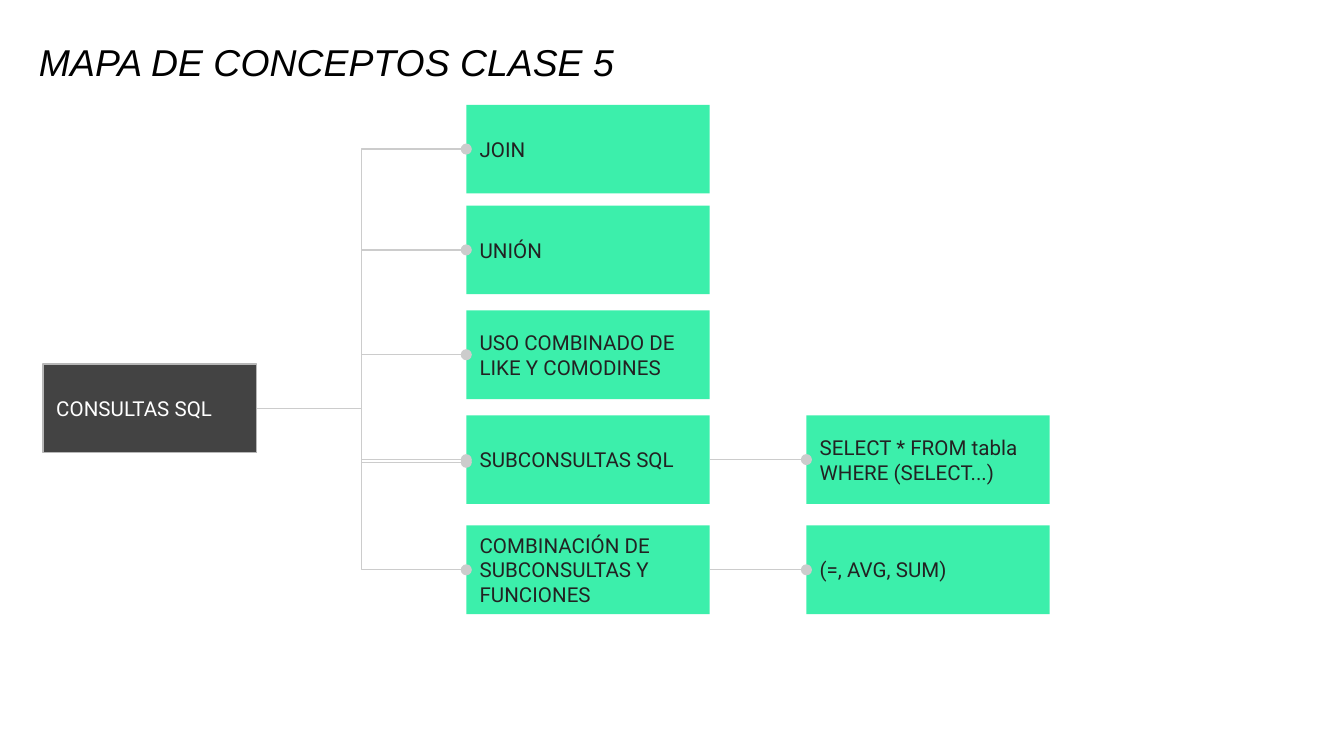
from lxml import etree
from pptx import Presentation
from pptx import util as u
from pptx.dml.color import RGBColor
from pptx.enum import shapes, text
from pptx.oxml.ns import qn

PX = 9144  # 100 px to the inch
COLORS = {
    "title": "000000", "root": "434343", "root_line": "B7B7B7",
    "root_text": "FFFFFF", "concept": "3CEFAB", "concept_text": "222222",
    "link": "CCCCCC",
}
BOX_WIDTH, BOX_HEIGHT = 181, 66
CONCEPTS = [  # top, concept, example
    (78, "JOIN", None),
    (153, "UNIÓN", None),
    (231, "USO COMBINADO DE LIKE Y COMODINES", None),
    (309, "SUBCONSULTAS SQL", "SELECT * FROM tabla WHERE (SELECT...)"),
    (391, "COMBINACIÓN DE SUBCONSULTAS Y FUNCIONES", "(=, AVG, SUM)"),
]


def px(value):
    return u.Emu(round(value * PX))


def color(name):
    return RGBColor.from_string(COLORS[name])


def set_text(shape, words, font, frame):
    """Write one left-aligned paragraph with the given formats."""
    for name, value in frame.items():
        setattr(shape.text_frame, name, value)
    para = shape.text_frame.paragraphs[0]
    para.alignment = text.PP_ALIGN.LEFT
    span = para.add_run()
    span.text = words
    span.font.color.rgb = color(font["color"])
    for name in font.keys() - {"color"}:
        setattr(span.font, name, font[name])
    return para


def add_title(page, left, top, width, height):
    title = page.shapes.title
    title.left, title.top, title.width, title.height = map(px, (left, top, width, height))
    para = set_text(
        title, "MAPA DE CONCEPTOS CLASE 5",
        {"name": "Arial", "size": u.Pt(20), "italic": True, "color": "title"},
        {"vertical_anchor": text.MSO_ANCHOR.BOTTOM, "word_wrap": True,
         "auto_size": text.MSO_AUTO_SIZE.NONE, "margin_left": px(10),
         "margin_right": px(10), "margin_top": px(5), "margin_bottom": px(5)})
    para.line_spacing = 0.9


def add_box(page, left, top, words, width=BOX_WIDTH, style="concept", line=None):
    box = page.shapes.add_shape(
        shapes.MSO_SHAPE.RECTANGLE, *map(px, (left, top, width, BOX_HEIGHT)))
    box.shadow.inherit = False
    box.fill.solid()
    box.fill.fore_color.rgb = color(style)
    if line:
        box.line.color.rgb = color(line)
        box.line.width = u.Pt(0.75)
    else:
        box.line.fill.background()
    frame = {f"margin_{side}": px(10) for side in ("left", "right", "top", "bottom")}
    frame.update(vertical_anchor=text.MSO_ANCHOR.MIDDLE, word_wrap=True)
    set_text(box, words, {"name": "Roboto", "size": u.Pt(11), "color": f"{style}_text"}, frame)
    return box


def add_link(page, start, end, kind, drop=None):
    """Link two boxes side to side, or end at a free point drop px below the start."""
    begin_y = start.top + start.height // 2
    end_y = end.top + end.height // 2 if drop is None else begin_y + px(drop)
    link = page.shapes.add_connector(kind, start.left + start.width, begin_y, end.left, end_y)
    link.begin_connect(start, 3)
    if drop is None:
        link.end_connect(end, 1)
    link.line.color.rgb = color("link")
    link.line.width = u.Pt(0.75)
    etree.SubElement(link.line._get_or_add_ln(), qn("a:tailEnd"), type="oval")
    etree.SubElement(link._element.spPr, qn("a:effectLst"))


def add_concept_map(page, left, top):
    """Place the root, its concepts and their examples from the top left corner."""
    elbow, straight = shapes.MSO_CONNECTOR.ELBOW, shapes.MSO_CONNECTOR.STRAIGHT
    concept_left, example_left = left + 315, left + 568
    root = add_box(page, left, top + 193, "CONSULTAS SQL", 159, "root", "root_line")
    for concept_top, concept_words, example_words in CONCEPTS:
        row_top = top + concept_top - CONCEPTS[0][0]
        concept = add_box(page, concept_left, row_top, concept_words)
        add_link(page, root, concept, elbow)
        if example_words:
            example = add_box(page, example_left, row_top, example_words)
            add_link(page, concept, example, straight)
        if concept_words == "SUBCONSULTAS SQL":
            add_link(page, root, concept, elbow, drop=40)


def main():
    deck = Presentation()
    deck.slide_width, deck.slide_height = px(1000), px(562.5)
    page = deck.slides.add_slide(deck.slide_layouts[5])
    add_title(page, 19, 22, 826, 46)
    add_concept_map(page, 32, 78)
    deck.save("out.pptx")


if __name__ == "__main__":
    main()
